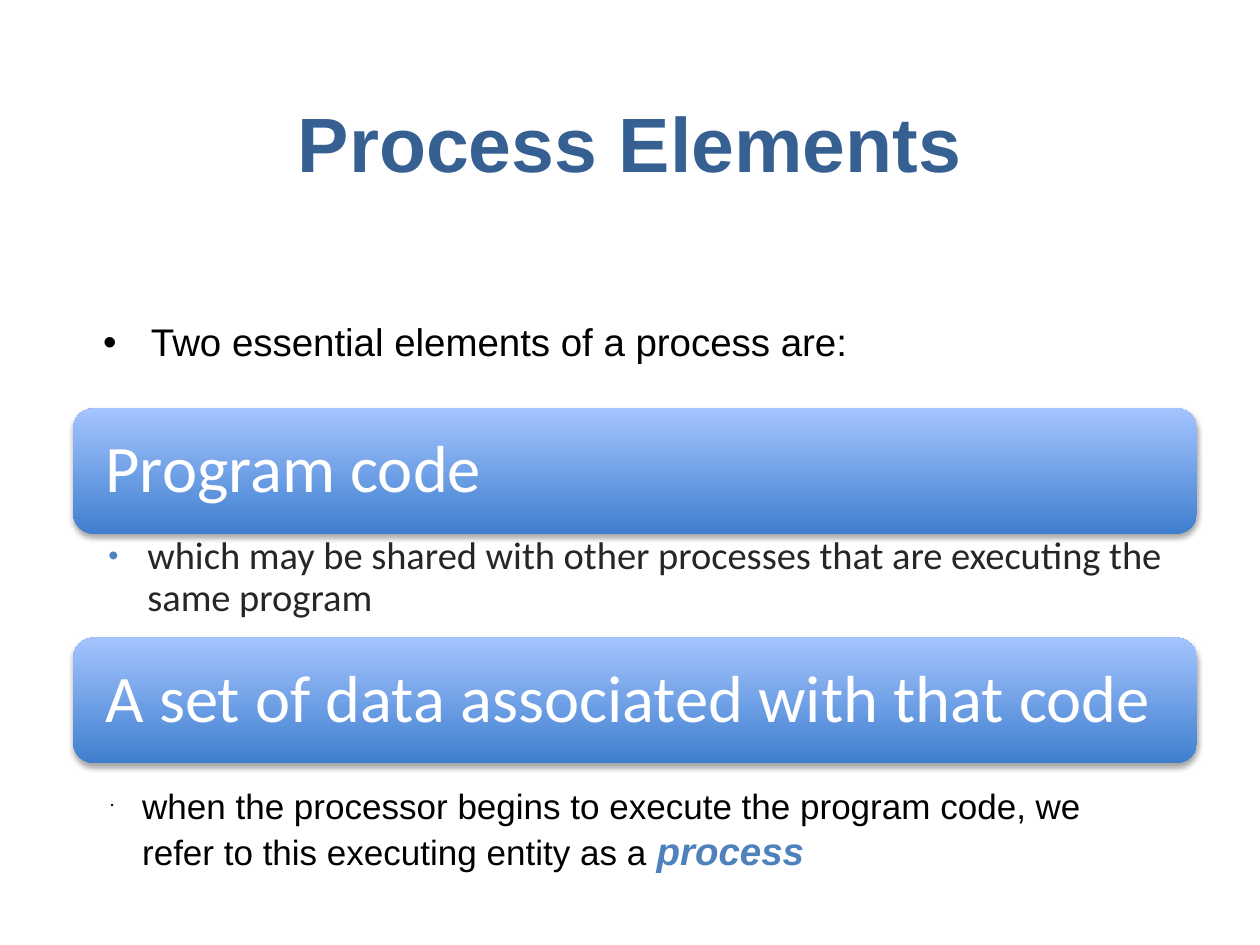
from lxml.etree import SubElement
from pptx import Presentation
from pptx.dml.color import RGBColor
from pptx.enum.shapes import MSO_SHAPE
from pptx.enum.text import MSO_ANCHOR, PP_ALIGN
from pptx.oxml.ns import qn
from pptx.util import Inches, Pt


def color(value):
    return RGBColor.from_string(value)


def write(box, runs, frame_format, para_format, bullet=None):
    frame = box.text_frame
    frame.word_wrap = True
    for name, value in frame_format.items():
        setattr(frame, name, value)
    para = frame.paragraphs[0]
    if bullet:
        margin, indent, size, tint = bullet
        properties = para._p.get_or_add_pPr()
        properties.set("marL", str(Inches(margin)))
        properties.set("indent", str(Inches(indent)))
        SubElement(SubElement(properties, qn("a:buClr")), qn("a:srgbClr"), val=tint)
        SubElement(properties, qn("a:buSzPct"), val=str(size * 1000))
        SubElement(properties, qn("a:buFont"), typeface="Arial")
        SubElement(properties, qn("a:buChar"), char="•")
    for name, value in para_format.items():
        setattr(para, name, value)
    for text, tint, font_format in runs:
        span = para.add_run()
        span.text = text
        span.font.color.rgb = color(tint)
        for name, value in font_format.items():
            setattr(span.font, name, value)


deck = Presentation()
deck.slide_width, deck.slide_height = Inches(10), Inches(7.5)
page = deck.slides.add_slide(deck.slide_layouts[6])
column, row = deck.slide_width / 100, deck.slide_height / 75

texts = [
    ((7.2, 5, 85.6, 12.5),
     [("Process Elements", "376092", {"name": "Arial", "size": Pt(44), "bold": True})],
     {"vertical_anchor": MSO_ANCHOR.MIDDLE}, {"alignment": PP_ALIGN.CENTER}, None),
    ((7.2, 25.2, 85.3, 5),
     [("Two essential elements of a process are:", "000000", {"name": "Arial", "size": Pt(22)})],
     {}, {"line_spacing": 0.9}, (0.38, -0.38, 100, "000000")),
    ((5.8, 42.3, 89.2, 7.5),
     [("which may be shared with other processes that are executing the same program",
       "262626", {"name": "Calibri", "size": Pt(22)})],
     {"margin_left": Inches(0.28), "margin_right": Inches(0.17),
      "margin_top": Inches(0.03), "margin_bottom": Inches(0.03)},
     {"line_spacing": 0.9}, (0.31, -0.31, 75, "4F81BD")),
    ((7.2, 61.8, 85.3, 9),
     [("when the processor begins to execute the program code, we refer to this "
       "executing entity as a ", "000000", {"name": "Arial", "size": Pt(20)}),
      ("process", "4F81BD", {"name": "Arial", "size": Pt(22), "bold": True, "italic": True})],
     {}, {}, (0.31, -0.25, 25, "000000")),
]

for index, heading in enumerate(["Program code", "A set of data associated with that code"]):
    card = page.shapes.add_shape(
        MSO_SHAPE.ROUNDED_RECTANGLE,
        int(5.8 * column), int((32.4 + 18.2 * index) * row), int(89.2 * column), int(10 * row))
    card.line.fill.background()
    card.fill.gradient()
    card.fill.gradient_angle = 90
    for stop, tint, position in zip(card.fill.gradient_stops, ["3F7FCE", "A4C4FF"], [0, 1]):
        stop.color.rgb = color(tint)
        stop.position = position
    card.shadow.inherit = False
    effects = card._element.spPr.find(qn("a:effectLst"))
    shadow = SubElement(effects, qn("a:outerShdw"), blurRad=str(Pt(3.1)),
                        dist=str(Pt(1.8)), dir="5400000", rotWithShape="0")
    tone = SubElement(shadow, qn("a:srgbClr"), val="000000")
    SubElement(tone, qn("a:alpha"), val="35000")
    write(card, [(heading, "FFFFFF", {"name": "Calibri", "size": Pt(38)})],
          {"vertical_anchor": MSO_ANCHOR.MIDDLE,
           "margin_left": Inches(0.21), "margin_right": Inches(0.21)},
          {"alignment": PP_ALIGN.LEFT, "line_spacing": 0.9})

for (left, top, width, height), runs, frame_format, para_format, bullet in texts:
    box = page.shapes.add_textbox(
        int(left * column), int(top * row), int(width * column), int(height * row))
    write(box, runs, frame_format, para_format, bullet)

deck.save("out.pptx")
